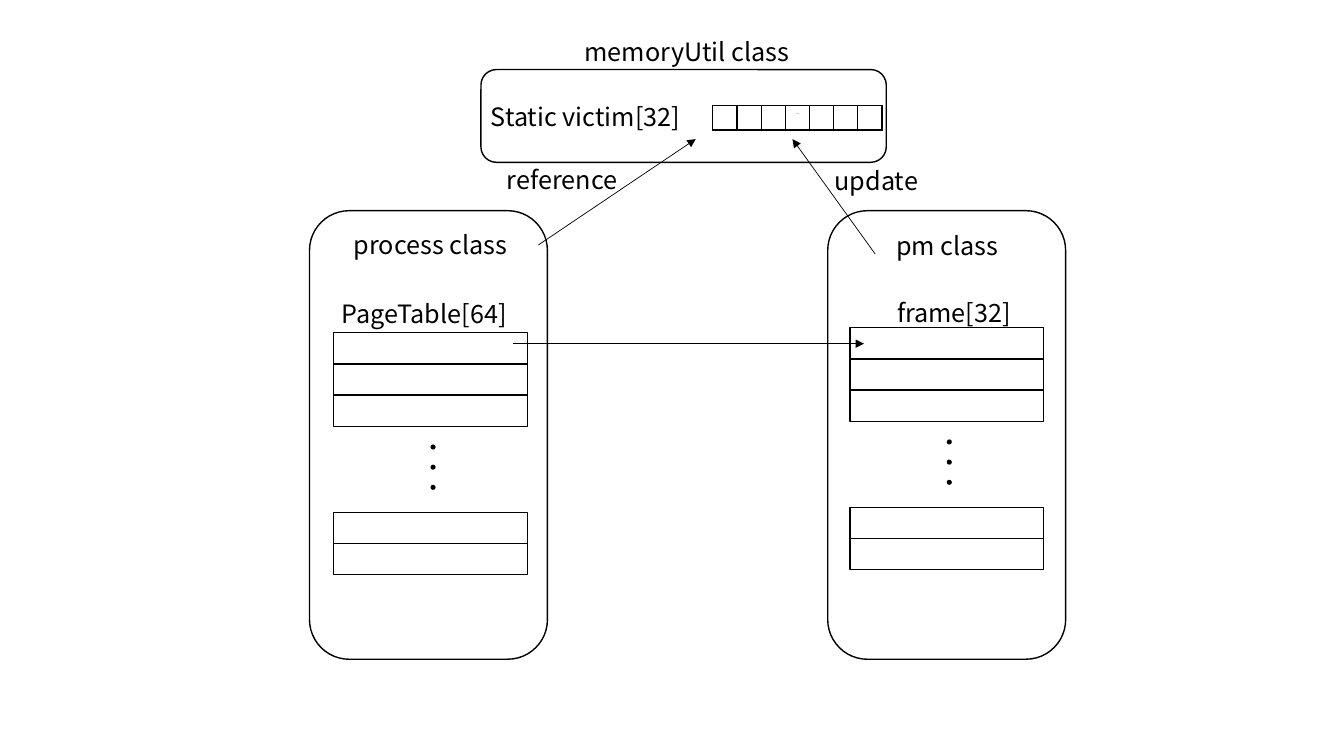
from lxml import etree
from pptx import Presentation
from pptx.dml.color import RGBColor
from pptx.enum.shapes import MSO_CONNECTOR as Connector, MSO_SHAPE as Shape
from pptx.enum.text import MSO_AUTO_SIZE as AutoSize
from pptx.oxml.ns import qn
from pptx.util import Inches, Pt

COLORS = {"ink": "000000", "paper": "FFFFFF"}
FONT = "Noto Sans CJK KR"
PAGE_ROW = 3.1
PAGE_WIDTH = 19.2


def grid(cells):
    """Turn grid cells, ten to the inch, into a length."""
    return Inches(cells / 10)


def color(name):
    """Look up a named colour."""
    return RGBColor.from_string(COLORS[name])


def style_font(paragraph, size, bold=False):
    """Set the shared typeface and colour on a paragraph."""
    paragraph.font.name = FONT
    paragraph.font.size = Pt(size)
    paragraph.font.bold = bold
    paragraph.font.color.rgb = color("ink")


def add_outline(slide, kind, left, top, width, height):
    """Add an unfilled preset shape with a thin outline."""
    shape = slide.shapes.add_shape(kind, *map(grid, (left, top, width, height)))
    shape.shadow.inherit = False
    shape.fill.background()
    shape.line.color.rgb = color("ink")
    shape.line.width = Pt(1)


def add_dot(slide, left, top):
    """Add one solid dot of a vertical ellipsis."""
    dot = slide.shapes.add_shape(Shape.OVAL, *map(grid, (left, top, 0.5, 0.5)))
    dot.shadow.inherit = False
    dot.fill.solid()
    dot.fill.fore_color.rgb = color("ink")
    dot.line.fill.background()


def add_label(slide, text, left, top, width):
    """Add a one-line label."""
    frame = slide.shapes.add_textbox(*map(grid, (left, top, width, 4))).text_frame
    frame.word_wrap = False
    frame.auto_size = AutoSize.SHAPE_TO_FIT_TEXT
    paragraph = frame.paragraphs[0]
    paragraph.text = text
    style_font(paragraph, 18)


def add_arrow(slide, start, end):
    """Add a straight line with an arrowhead at its end."""
    arrow = slide.shapes.add_connector(Connector.STRAIGHT, *map(grid, start + end))
    arrow.line.color.rgb = color("ink")
    arrow.line.width = Pt(0.5)
    etree.SubElement(arrow.line._get_or_add_ln(), qn("a:tailEnd"), type="triangle")
    etree.SubElement(arrow._element.spPr, qn("a:effectLst"))


def add_page_stack(slide, left, top):
    """Add three pages, a vertical ellipsis and the last two pages."""
    for row in (0, 1, 2, 5.75, 6.75):
        add_outline(slide, Shape.RECTANGLE, left, top + row * PAGE_ROW,
                    PAGE_WIDTH, PAGE_ROW)
    for step in range(3):
        add_dot(slide, left + PAGE_WIDTH / 2, top + 11.1 + 2 * step)


def add_borders(cell):
    """Draw a thin line on all four sides of a table cell."""
    properties = cell._tc.get_or_add_tcPr()
    for index, side in enumerate(("lnL", "lnR", "lnT", "lnB")):
        line = etree.Element(qn(f"a:{side}"), w=str(Pt(1)))
        fill = etree.SubElement(line, qn("a:solidFill"))
        etree.SubElement(fill, qn("a:srgbClr"), val=COLORS["ink"])
        properties.insert(index, line)


def add_victim_table(slide, left, top, size, texts):
    """Add a one-row table of square cells."""
    frame = slide.shapes.add_table(1, len(texts), grid(left), grid(top),
                                   grid(size * len(texts)), grid(size))
    table = frame.table
    table.first_row = table.horz_banding = False
    for cell, text in zip(table.iter_cells(), texts):
        cell.fill.background()
        add_borders(cell)
        paragraph = cell.text_frame.paragraphs[0]
        paragraph.text = text
        style_font(paragraph, 3, bold=True)
        if not text:
            etree.SubElement(paragraph._p, qn("a:endParaRPr"), sz="300")


def main():
    """Build the class diagram slide and save it."""
    presentation = Presentation()
    presentation.slide_width, presentation.slide_height = Inches(13.33), Inches(7.5)
    slide = presentation.slides.add_slide(presentation.slide_layouts[6])
    slide.background.fill.solid()
    slide.background.fill.fore_color.rgb = color("paper")

    for box in ((30.7, 20.9, 23.6, 44.5), (47.7, 6.9, 40.2, 9.2),
                (82.1, 20.9, 23.6, 44.5)):
        add_outline(slide, Shape.ROUNDED_RECTANGLE, *box)
    add_page_stack(slide, 33.1, 33)
    add_page_stack(slide, 84.3, 32.5)
    add_victim_table(slide, 70.7, 10.5, 2.4, ("", "", "", "…", "", "", ""))

    for label in (("process class", 34.1, 22.3, 19.4),
                  ("pm class", 87.9, 22.4, 13.2),
                  ("PageTable[64]", 32.9, 29.1, 20.7),
                  ("frame[32]", 88, 29, 14.6),
                  ("Static victim[32]", 47.7, 9.6, 23.3),
                  ("memoryUtil class", 57, 3.1, 24.5),
                  ("update", 81.8, 15.9, 11.4),
                  ("reference", 49.3, 15.8, 14.5)):
        add_label(slide, *label)

    for start, end in (((50.9, 34.1), (85.7, 34.1)),
                       ((53.4, 24.3), (69, 13.8)),
                       ((86.8, 25.2), (78.6, 13.8))):
        add_arrow(slide, start, end)

    presentation.save("out.pptx")


main()
